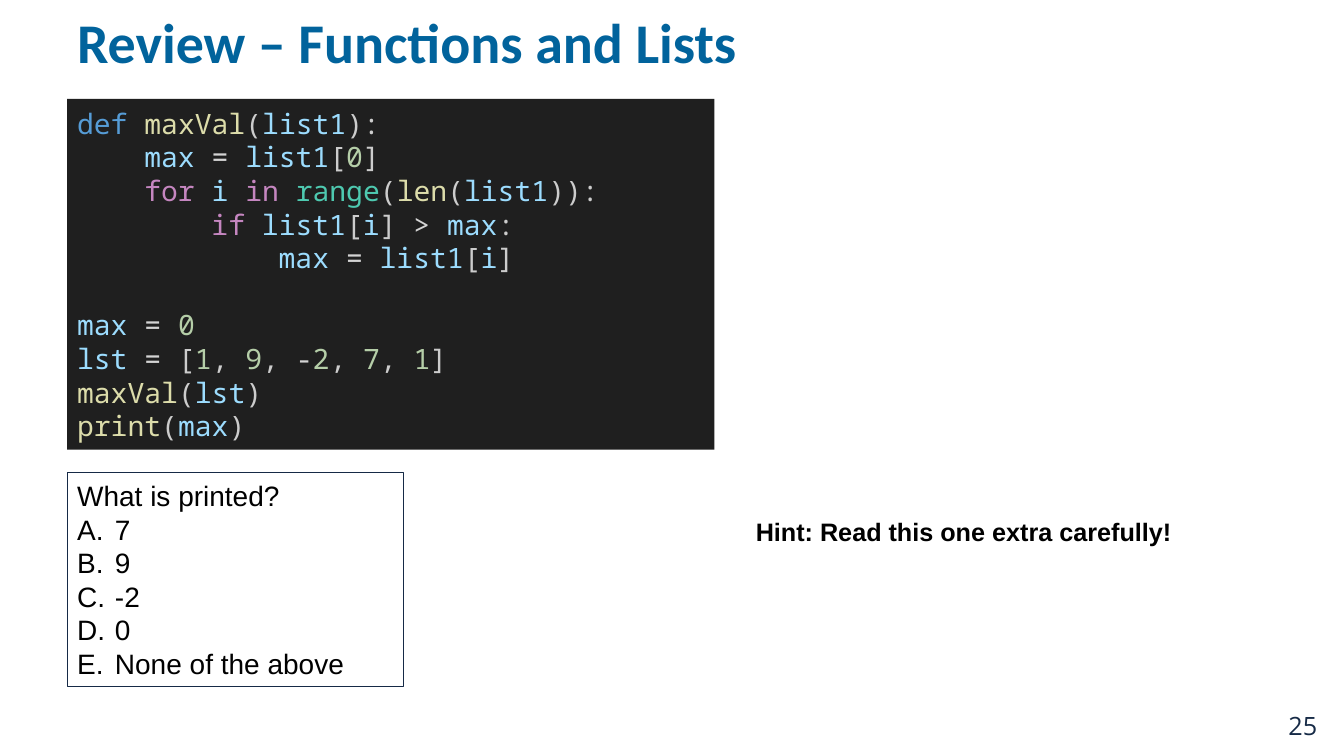
from lxml import etree
from pptx import Presentation
from pptx.dml.color import RGBColor
from pptx.enum.text import MSO_ANCHOR, PP_ALIGN
from pptx.util import Pt

MIDDLE = MSO_ANCHOR.MIDDLE
RIGHT = PP_ALIGN.RIGHT

COLOURS = {
    "title": "01639C", "navy": "162A46", "black": "000000", "panel": "1F1F1F",
    "define": "569CD6", "function": "DCDCAA", "variable": "9CDCFE",
    "keyword": "C586C0", "type": "4EC9B0", "number": "B5CEA8",
    "operator": "D4D4D4", "punctuation": "CCCCCC",
}
TOKEN_ROLES = {
    "define": ["def"],
    "function": ["maxVal", "len", "print"],
    "variable": ["max", "list1", "i", "lst"],
    "keyword": ["for", "in", "if"],
    "type": ["range"],
    "number": ["0", "1", "2", "7", "9"],
    "operator": ["=", ">", "-"],
}
ROLE_OF = {token: role for role, tokens in TOKEN_ROLES.items() for token in tokens}

# Indent level, space before in points, tokens separated by "|"
CODE = [
    (0, 0, "def |maxVal|(|list1|):"),
    (1, 0, "max |= |list1|[|0|]"),
    (1, 0, "for |i |in |range|(|len|(|list1|)):"),
    (2, 0, "if |list1|[|i|] |> |max|:"),
    (3, 0, "max |= |list1|[|i|]"),
    (0, 24, "max |= |0"),
    (0, 0, "lst |=| [|1|, |9|, |-|2|, |7|, |1|]"),
    (0, 0, "maxVal|(|lst|)"),
    (0, 0, "print|(|max|)"),
]
ANSWERS = ["7", "9", "-2", "0", "None of the above"]
CODE_INDENT = 48
ANSWER_INDENT = 27
LINE_HEIGHT = Pt(24)

TITLE_FONT = {"name": "Calibri", "size": Pt(40), "bold": True}
CODE_FONT = {"name": "Noto Sans Mono", "size": Pt(20)}
QUIZ_FONT = {"name": "Arial", "size": Pt(20)}
HINT_FONT = {"name": "Arial", "size": Pt(18), "bold": True}
NUMBER_FONT = {"name": "Open Sans", "size": Pt(18)}

prs = Presentation()
prs.slide_width, prs.slide_height = Pt(960), Pt(540)
slide = prs.slides.add_slide(prs.slide_layouts[6])


def add_box(left, top, width, height):
    sp = slide.shapes.add_textbox(Pt(left), Pt(top), Pt(width), Pt(height))
    sp.text_frame.word_wrap = True
    sp.text_frame.vertical_anchor = MIDDLE
    return sp


def add_run(p, text, font, colour):
    r = p.add_run()
    r.text = text
    for name, value in font.items():
        setattr(r.font, name, value)
    r.font.color.rgb = RGBColor.from_string(COLOURS[colour])


# Title, hint and slide number
for box, text, font, colour, align in [
    ((48, 4.5, 894, 50.4), "Review – Functions and Lists", TITLE_FONT, "title", None),
    ((532.8, 365, 319, 29), "Hint: Read this one extra carefully!", HINT_FONT, "black", None),
    ((912, 504, 36, 29), "25", NUMBER_FONT, "navy", RIGHT),
]:
    p = add_box(*box).text_frame.paragraphs[0]
    p.alignment = align
    add_run(p, text, font, colour)

# Code panel
sp = add_box(48, 70.6, 462.4, 250.6)
sp.fill.solid()
sp.fill.fore_color.rgb = RGBColor.from_string(COLOURS["panel"])
tf = sp.text_frame
for n, (level, gap, line) in enumerate(CODE):
    p = tf.add_paragraph() if n else tf.paragraphs[0]
    p.line_spacing = LINE_HEIGHT
    p.space_before = Pt(gap)
    p._p.get_or_add_pPr().set("marL", str(Pt(level * CODE_INDENT)))
    for token in line.split("|"):
        add_run(p, token, CODE_FONT, ROLE_OF.get(token.strip(), "punctuation"))

# Question with lettered answers
sp = add_box(48, 337.5, 240, 152.6)
sp.line.color.rgb = RGBColor.from_string(COLOURS["navy"])
sp.line.width = Pt(0.75)
tf = sp.text_frame
p = tf.paragraphs[0]
p.line_spacing = LINE_HEIGHT
add_run(p, "What is printed?", QUIZ_FONT, "black")
for answer in ANSWERS:
    p = tf.add_paragraph()
    p.line_spacing = LINE_HEIGHT
    pPr = p._p.get_or_add_pPr()
    pPr.set("marL", str(Pt(ANSWER_INDENT)))
    pPr.set("indent", str(Pt(-ANSWER_INDENT)))
    numbering = etree.SubElement(
        pPr, "{http://schemas.openxmlformats.org/drawingml/2006/main}buAutoNum")
    numbering.set("type", "alphaUcPeriod")
    add_run(p, answer, QUIZ_FONT, "black")

prs.save("out.pptx")
